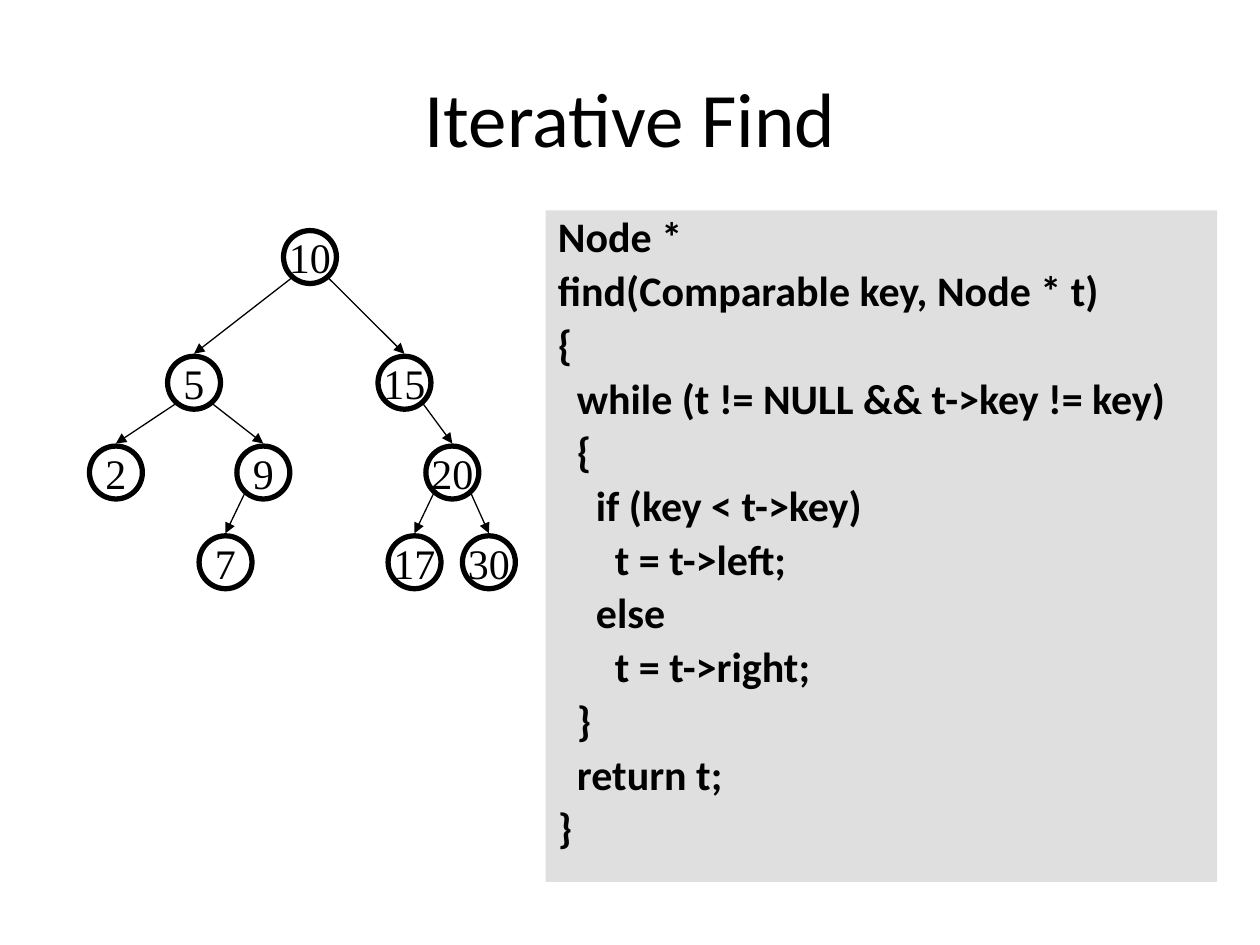
from dataclasses import dataclass
from typing import Optional

from lxml import etree
from pptx import Presentation
from pptx.dml.color import RGBColor
from pptx.enum import shapes, text
from pptx.oxml import ns
from pptx.util import Inches, Pt

WIDTH, HEIGHT = 10, 7.5
BLACK, SILVER = "000000", "C0C0C0"
DIAMETER = 0.42
LEVELS = (24.4, 37.7, 47.2, 56.7)

CODE = """Node *
find(Comparable key, Node * t)
{
  while (t != NULL && t->key != key)
  {
    if (key < t->key)
      t = t->left;
    else
      t = t->right;
  }
  return t;
}"""


@dataclass(frozen=True)
class Node:
    key: int
    center_percent: float
    level: int
    parent: Optional[int] = None

    @property
    def center(self) -> float:
        return WIDTH * self.center_percent / 100

    @property
    def top(self) -> float:
        return HEIGHT * LEVELS[self.level] / 100


NODES = (
    Node(10, 24.6, 0),
    Node(5, 15.4, 1, 10),
    Node(15, 32.1, 1, 10),
    Node(2, 9.2, 2, 5),
    Node(9, 20.9, 2, 5),
    Node(20, 35.9, 2, 15),
    Node(7, 17.9, 3, 9),
    Node(17, 32.9, 3, 20),
    Node(30, 38.8, 3, 20),
)


def color(value: str) -> RGBColor:
    return RGBColor.from_string(value)


def style(paragraph, name: str, size: int, bold: bool = False) -> None:
    font = paragraph.font
    font.name, font.size, font.bold = name, Pt(size), bold
    font.color.rgb = color(BLACK)


def add_title(slide, title: str) -> None:
    box = slide.shapes.add_textbox(
        Inches(WIDTH * 0.05), Inches(HEIGHT * 0.04), Inches(WIDTH * 0.9), Inches(1.25)
    )
    frame = box.text_frame
    frame.word_wrap = True
    frame.vertical_anchor = text.MSO_ANCHOR.MIDDLE
    paragraph = frame.paragraphs[0]
    paragraph.text = title
    paragraph.alignment = text.PP_ALIGN.CENTER
    style(paragraph, "Calibri", 44)


def add_code(slide, code: str) -> None:
    panel = slide.shapes.add_shape(
        shapes.MSO_SHAPE.RECTANGLE, Inches(4.33), Inches(1.67), Inches(5.33), Inches(5.33)
    )
    panel.shadow.inherit = False
    panel.line.fill.background()
    panel.fill.solid()
    panel.fill.fore_color.rgb = color(SILVER)
    tint = panel.fill._xPr.find(".//" + ns.qn("a:srgbClr"))
    etree.SubElement(tint, ns.qn("a:alpha"), val="50000")
    frame = panel.text_frame
    frame.word_wrap = True
    frame.vertical_anchor = text.MSO_ANCHOR.TOP
    for index, line in enumerate(code.splitlines()):
        paragraph = frame.add_paragraph() if index else frame.paragraphs[0]
        paragraph.text = line
        paragraph.alignment = text.PP_ALIGN.LEFT
        paragraph.line_spacing = 0.9
        paragraph.space_before = Pt(4.8 if index else 0)
        properties = paragraph._p.get_or_add_pPr()
        properties.set("marL", str(Inches(0.38)))
        properties.set("indent", str(-Inches(0.38)))
        style(paragraph, "Calibri", 24, bold=True)


def add_node(slide, node: Node) -> None:
    circle = slide.shapes.add_shape(
        shapes.MSO_SHAPE.OVAL,
        Inches(node.center - DIAMETER / 2), Inches(node.top),
        Inches(DIAMETER), Inches(DIAMETER),
    )
    circle.shadow.inherit = False
    circle.fill.background()
    circle.line.color.rgb = color(BLACK)
    circle.line.width = Pt(3)
    frame = circle.text_frame
    frame.word_wrap = False
    frame.vertical_anchor = text.MSO_ANCHOR.MIDDLE
    paragraph = frame.paragraphs[0]
    paragraph.text = str(node.key)
    paragraph.alignment = text.PP_ALIGN.CENTER
    style(paragraph, "Times New Roman", 24)


def add_edge(slide, parent: Node, child: Node) -> None:
    side = 0.15 if child.center > parent.center else -0.15
    arrow = slide.shapes.add_connector(
        shapes.MSO_CONNECTOR.STRAIGHT,
        Inches(parent.center + side), Inches(parent.top + 0.38),
        Inches(child.center), Inches(child.top - 0.02),
    )
    arrow.line.color.rgb = color(BLACK)
    arrow.line.width = Pt(0.75)
    etree.SubElement(arrow.line._get_or_add_ln(), ns.qn("a:tailEnd"), type="triangle")
    etree.SubElement(arrow._element.spPr, ns.qn("a:effectLst"))


def main() -> None:
    presentation = Presentation()
    presentation.slide_width, presentation.slide_height = Inches(WIDTH), Inches(HEIGHT)
    slide = presentation.slides.add_slide(presentation.slide_layouts[6])
    add_title(slide, "Iterative Find")
    add_code(slide, CODE)
    by_key = {node.key: node for node in NODES}
    for node in NODES:
        add_node(slide, node)
        if node.parent is not None:
            add_edge(slide, by_key[node.parent], node)
    presentation.save("out.pptx")


if __name__ == "__main__":
    main()
